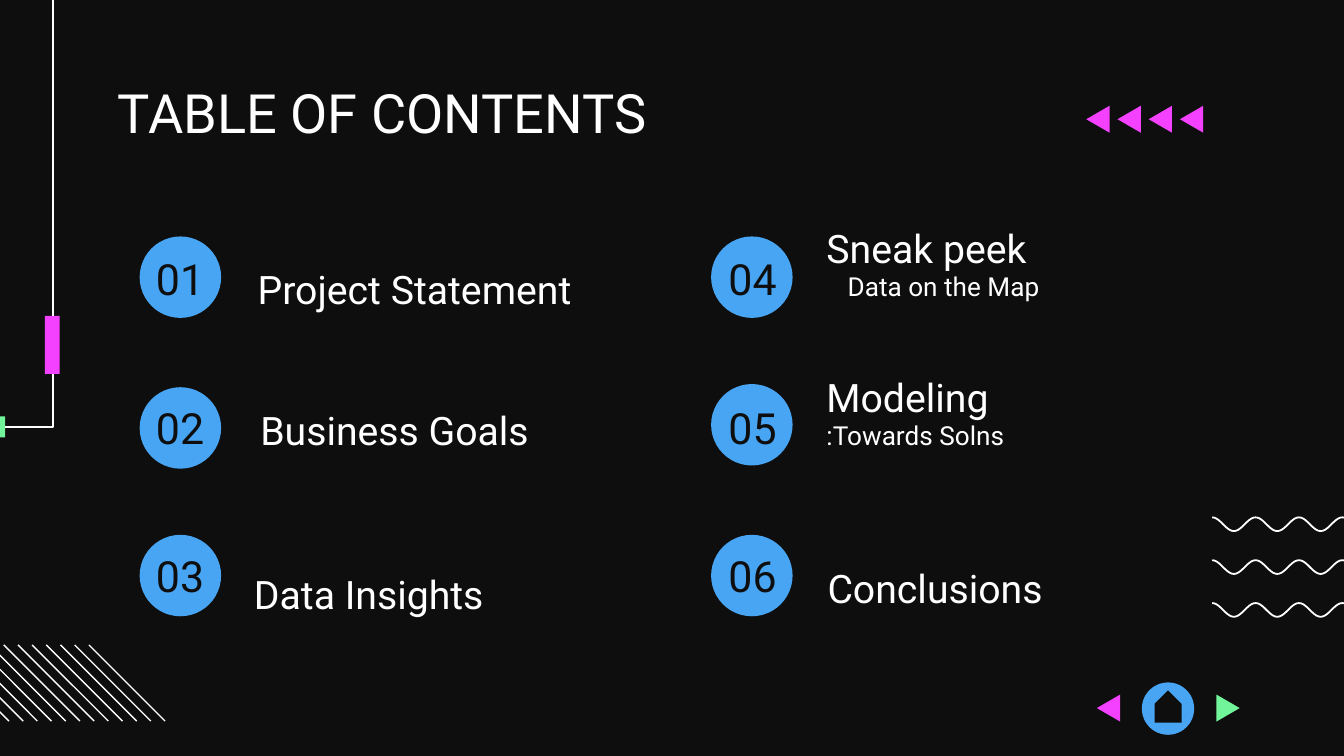
import math
from dataclasses import dataclass

import pptx
import pptx.dml.color
import pptx.enum.shapes
import pptx.enum.text
import pptx.util
from lxml import etree

Cm = pptx.util.Cm
Pt = pptx.util.Pt
Shape = pptx.enum.shapes.MSO_SHAPE
Align = pptx.enum.text.PP_ALIGN


@dataclass(frozen=True)
class Theme:
    font: str = "Roboto"
    dark: str = "0E0E0E"
    white: str = "FFFFFF"
    blue: str = "47A5F3"
    pink: str = "F341FF"
    green: str = "72F49A"
    heading: int = 29
    number: int = 23
    topic: int = 21
    detail: int = 14
    thin: float = 0.75
    wave: float = 0.95


THEME = Theme()

HEADING = "TABLE OF CONTENTS"
TOPICS = [
    ("01", "Project Statement", 4.62, 4.88),
    ("02", "Business Goals", 4.67, 7.54),
    ("03", "Data Insights", 4.55, 10.64),
    ("04", "Sneak peek", 15.37, 4.11),
    ("05", "Modeling", 15.37, 6.93),
    ("06", "Conclusions", 15.39, 10.54),
]
DETAILS = [
    ("Data on the Map", 15.77, 5.11, 5.21, 0.86),
    (":Towards Solns", 15.37, 7.92, 6.53, 1.52),
]
CIRCLE_LEFTS = [2.64, 13.44]
CIRCLE_TOPS = [[4.47, 7.32, 10.11], [4.47, 7.26, 10.11]]
NUMBER_LEFTS = [2.26, 13.08]
NUMBER_TOPS = [4.27, 7.09, 9.88]
CIRCLE_SIZE = 1.54
TOPIC_SIZE = (8.03, 0.99)
NUMBER_SIZE = (2.29, 1.55)

TRIANGLE_SIZE = (0.44, 0.51)
ARROW_LEFT, ARROW_TOP, ARROW_STEP, ARROW_COUNT = 20.53, 2.0, 0.59, 4
WAVE_LEFT, WAVE_TOP, WAVE_STEP, WAVE_COUNT = 22.91, 9.78, 0.81, 3
WAVE_HALF, WAVE_HEIGHT, WAVE_HALVES, WAVE_SAMPLES = 0.41, 0.26, 7, 10
HATCH_LEFT, HATCH_TOP, HATCH_SIZE = -1.27, 12.19, 1.44
HATCH_SPAN, HATCH_COUNT = 2.95, 12


def color(value):
    return pptx.dml.color.RGBColor.from_string(value)


def paint(shape, fill=None, line=None, weight=THEME.thin):
    shape.shadow.inherit = False
    if fill:
        shape.fill.solid()
        shape.fill.fore_color.rgb = color(fill)
    else:
        shape.fill.background()
    if line:
        shape.line.color.rgb = color(line)
        shape.line.width = Pt(weight)
    else:
        shape.line.fill.background()


def add_preset(page, kind, left, top, width, height, fill):
    shape = page.shapes.add_shape(kind, Cm(left), Cm(top), Cm(width), Cm(height))
    paint(shape, fill)
    return shape


def add_outline(page, points, close, **style):
    corners = [(Cm(x), Cm(y)) for x, y in points]
    builder = page.shapes.build_freeform(*corners[0])
    builder.add_line_segments(corners[1:], close=close)
    paint(builder.convert_to_shape(), **style)


def add_triangle(page, left, top, fill, points_left=True):
    width, height = TRIANGLE_SIZE
    base, tip = (left + width, left) if points_left else (left, left + width)
    points = [(base, top), (tip, top + height / 2), (base, top + height)]
    add_outline(page, points, True, fill=fill)


def add_text(page, text, left, top, size, points, ink=THEME.white,
             inset_top=0, align=Align.LEFT, spacing=None, after=None):
    box = page.shapes.add_textbox(Cm(left), Cm(top), *map(Cm, size))
    frame = box.text_frame
    frame.word_wrap = True
    frame.vertical_anchor = pptx.enum.text.MSO_ANCHOR.TOP
    frame.margin_left = frame.margin_right = frame.margin_bottom = Cm(0.25)
    frame.margin_top = Cm(inset_top)
    para = frame.paragraphs[0]
    para.text = text
    para.alignment = align
    if spacing:
        para.line_spacing = spacing
    if after:
        para.space_after = Pt(after)
    para.font.name = THEME.font
    para.font.size = Pt(points)
    para.font.color.rgb = color(ink)


def add_waves(page):
    steps = range(WAVE_HALVES * WAVE_SAMPLES + 1)
    for row in range(WAVE_COUNT):
        top = WAVE_TOP + row * WAVE_STEP
        points = [
            (WAVE_LEFT + WAVE_HALF * step / WAVE_SAMPLES,
             top + WAVE_HEIGHT * (1 - math.cos(math.pi * step / WAVE_SAMPLES)) / 2)
            for step in steps
        ]
        add_outline(page, points, False, line=THEME.white, weight=THEME.wave)


def add_hatching(page):
    for index in range(HATCH_COUNT):
        left = HATCH_LEFT + index * HATCH_SPAN / (HATCH_COUNT - 1)
        line = page.shapes.add_connector(
            pptx.enum.shapes.MSO_CONNECTOR.STRAIGHT, Cm(left), Cm(HATCH_TOP),
            Cm(left + HATCH_SIZE), Cm(HATCH_TOP + HATCH_SIZE))
        line.line.color.rgb = color(THEME.white)
        line.line.width = Pt(THEME.thin)
        etree.SubElement(line._element.spPr, pptx.oxml.ns.qn("a:effectLst"))


def add_corner(page):
    bend = [(-9.98, 8.07), (1.0, 8.07), (1.0, -0.55)]
    add_outline(page, bend, False, line=THEME.white)
    add_preset(page, Shape.RECTANGLE, -0.3, 7.87, 0.4, 0.4, THEME.green)
    add_preset(page, Shape.RECTANGLE, 0.85, 5.97, 0.28, 1.1, THEME.pink)


def add_contents(page):
    for left, tops in zip(CIRCLE_LEFTS, CIRCLE_TOPS):
        for top in tops:
            add_preset(page, Shape.OVAL, left, top, CIRCLE_SIZE, CIRCLE_SIZE, THEME.blue)
    add_text(page, HEADING, 1.98, 1.5, (21.44, 1.17), THEME.heading)
    for index, (number, topic, left, top) in enumerate(TOPICS):
        column, row = divmod(index, len(NUMBER_TOPS))
        add_text(page, number, NUMBER_LEFTS[column], NUMBER_TOPS[row], NUMBER_SIZE,
                 THEME.number, THEME.dark, inset_top=0.51, align=Align.CENTER)
        add_text(page, topic, left, top, TOPIC_SIZE, THEME.topic, spacing=1.15, after=12)
    for detail, left, top, width, height in DETAILS:
        add_text(page, detail, left, top, (width, height), THEME.detail)


def add_navigation(page):
    for index in range(ARROW_COUNT):
        add_triangle(page, ARROW_LEFT + index * ARROW_STEP, ARROW_TOP, THEME.pink)
    add_preset(page, Shape.OVAL, 21.58, 12.9, 0.99, 0.99, THEME.blue)
    home = add_preset(page, Shape.PENTAGON, 21.77, 13.1, 0.61, 0.51, THEME.dark)
    home.rotation = 270
    add_triangle(page, 20.73, 13.13, THEME.pink)
    add_triangle(page, 22.99, 13.13, THEME.green, points_left=False)


def main():
    deck = pptx.Presentation()
    deck.slide_width, deck.slide_height = Cm(25.4), Cm(14.29)
    page = deck.slides.add_slide(deck.slide_layouts[6])
    page.background.fill.solid()
    page.background.fill.fore_color.rgb = color(THEME.dark)
    add_waves(page)
    add_hatching(page)
    add_corner(page)
    add_contents(page)
    add_navigation(page)
    deck.save("out.pptx")


if __name__ == "__main__":
    main()
